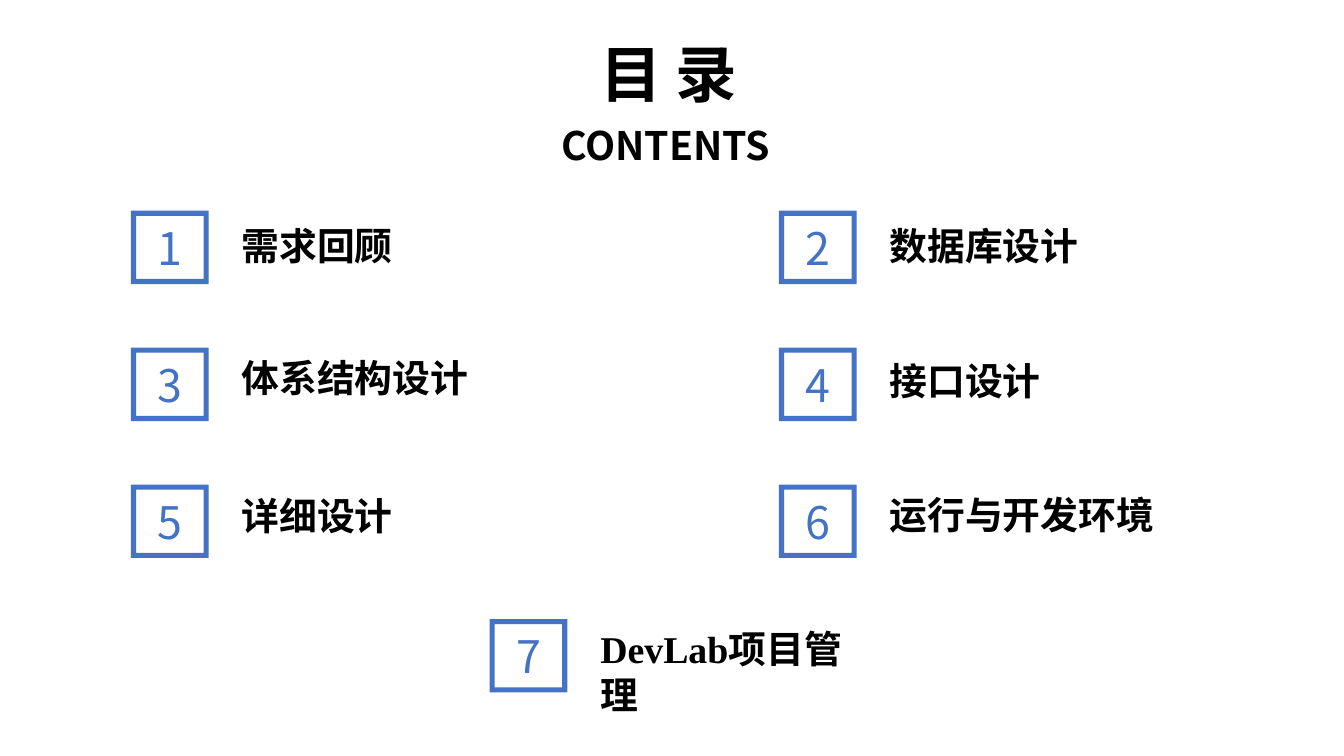
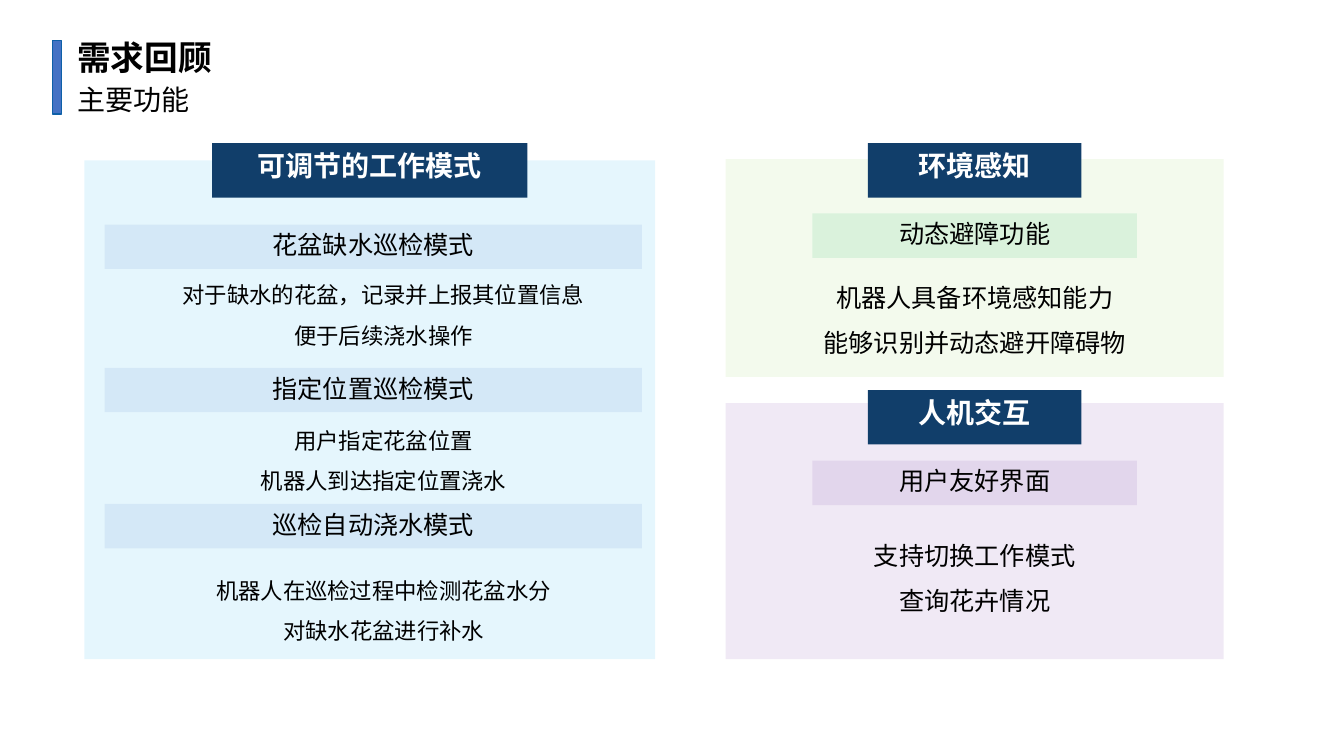
"""Build a contents slide and a requirements overview slide."""
from lxml import etree
from pptx import Presentation
from pptx.dml.color import RGBColor
from pptx.enum import shapes, text
from pptx.oxml import ns
from pptx.util import Cm, Pt

SANS = "Noto Sans CJK SC"
SERIF = "Times New Roman"

BLACK = RGBColor(0x00, 0x00, 0x00)
WHITE = RGBColor(0xFF, 0xFF, 0xFF)
BLUE = RGBColor(0x44, 0x72, 0xC4)
BLUE_EDGE = RGBColor(0x0E, 0x60, 0xA8)
NAVY = RGBColor(0x11, 0x3E, 0x6A)
SKY = RGBColor(0x00, 0xB0, 0xF0)
LIME = RGBColor(0x92, 0xD0, 0x50)
GREEN = RGBColor(0x00, 0xB0, 0x50)
PURPLE = RGBColor(0x70, 0x30, 0xA0)

LEFT, TOP = shapes.MSO_SHAPE, text.MSO_ANCHOR.TOP
RECTANGLE, FRAME = shapes.MSO_SHAPE.RECTANGLE, shapes.MSO_SHAPE.FRAME
MIDDLE = text.MSO_ANCHOR.MIDDLE
CENTER = text.PP_ALIGN.CENTER

CHAPTERS = [
    ("需求回顾", 0.18),
    ("数据库设计", 0.18),
    ("体系结构设计", 0.05),
    ("接口设计", 0.13),
    ("详细设计", 0.08),
    ("运行与开发环境", 0.06),
    ("DevLab项目管理", 0.05),
]
COLUMNS = (3.3, 19.63)
LAST_LEFT, LAST_TOP = 12.34, 15.6
FIRST_TOP, ROW_PITCH = 5.31, 3.45

PANELS = [
    {
        "box": (2.13, 4.04, 14.38, 12.57), "fill": SKY,
        "header": ("可调节的工作模式", 3.61, 7.95),
        "bar_fill": BLUE, "bar_width": 13.54, "bar_shift": 0.09,
        "note_size": 16, "note_shift": 0.35,
        "items": [
            ("花盆缺水巡检模式", 5.66, 6.63,
             ["对于缺水的花盆，记录并上报其位置信息", "便于后续浇水操作"]),
            ("指定位置巡检模式", 9.27, 10.29,
             ["用户指定花盆位置", "机器人到达指定位置浇水"]),
            ("巡检自动浇水模式", 12.7, 14.07,
             ["机器人在巡检过程中检测花盆水分", "对缺水花盆进行补水"]),
        ],
    },
    {
        "box": (18.29, 4.01, 12.55, 5.49), "fill": LIME,
        "header": ("环境感知", 3.61, 5.38),
        "bar_fill": GREEN, "bar_width": 8.18, "bar_shift": 0,
        "note_size": 18, "note_shift": 0,
        "items": [
            ("动态避障功能", 5.38, 6.6,
             ["机器人具备环境感知能力", "能够识别并动态避开障碍物"]),
        ],
    },
    {
        "box": (18.29, 10.16, 12.55, 6.45), "fill": PURPLE,
        "header": ("人机交互", 9.83, 5.38),
        "bar_fill": PURPLE, "bar_width": 8.18, "bar_shift": 0,
        "note_size": 18, "note_shift": 0,
        "items": [
            ("用户友好界面", 11.61, 13.11,
             ["支持切换工作模式", "查询花卉情况"]),
        ],
    },
]


def write(shape, lines, size, color=BLACK, bold=False, font=SANS,
          align=None, spacing=None, anchor=TOP):
    """Fill a shape with evenly styled paragraphs."""
    frame = shape.text_frame
    frame.word_wrap = True
    frame.vertical_anchor = anchor
    frame.text = "\n".join(lines)
    for paragraph in frame.paragraphs:
        paragraph.alignment = align
        paragraph.line_spacing = spacing
        paragraph.font.size = Pt(size)
        paragraph.font.bold = bold
        paragraph.font.color.rgb = color
        paragraph.font.name = font
        latin = paragraph.font._element.find(ns.qn("a:latin"))
        east_asian = etree.Element(ns.qn("a:ea"), typeface=SANS)
        latin.addnext(east_asian)


def add_text(slide, box, lines, size, **style):
    """Add a text box at a box given in centimetres."""
    write(slide.shapes.add_textbox(*map(Cm, box)), lines, size, **style)


def add_block(slide, box, fill, kind=RECTANGLE, opacity=None):
    """Add a borderless filled shape, optionally translucent."""
    shape = slide.shapes.add_shape(kind, *map(Cm, box))
    shape.shadow.inherit = False
    shape.fill.solid()
    shape.fill.fore_color.rgb = fill
    shape.line.fill.background()
    if opacity is not None:
        color = shape._element.spPr.find(".//" + ns.qn("a:srgbClr"))
        etree.SubElement(color, ns.qn("a:alpha"), val=str(opacity * 1000))
    return shape


def build_contents(slide):
    """Lay out the numbered chapters in two columns and a last row."""
    add_text(slide, (14.88, 0.79, 4.11, 2.13), ["目 录"], 44, bold=True)
    add_text(slide, (13.89, 2.92, 6.1, 1.45), ["CONTENTS"], 28, bold=True)
    for index, (name, drop) in enumerate(CHAPTERS):
        row, column = divmod(index, len(COLUMNS))
        left, top = COLUMNS[column], FIRST_TOP + row * ROW_PITCH
        if index == len(CHAPTERS) - 1:
            left, top = LAST_LEFT, LAST_TOP
        number = add_block(slide, (left, top, 1.96, 1.85), BLUE, FRAME)
        number.adjustments[0] = 0.07
        write(number, [str(index + 1)], 32, color=BLUE, align=CENTER,
              anchor=MIDDLE)
        add_text(slide, (left + 2.54, top + drop, 7.37, 1.42), [name], 27,
                 bold=True, font=SERIF)


def build_panel(slide, panel):
    """Draw one function panel with its header, bars and notes."""
    left, _, width, _ = panel["box"]
    center = left + width / 2
    add_block(slide, panel["box"], panel["fill"], opacity=10)
    title, top, header_width = panel["header"]
    header = add_block(
        slide, (center - header_width / 2, top, header_width, 1.37), NAVY)
    write(header, [title], 20, color=WHITE, bold=True, align=CENTER)
    bar_width = panel["bar_width"]
    bar_left = center - bar_width / 2
    for name, bar_top, note_top, lines in panel["items"]:
        bar = add_block(
            slide, (bar_left + panel["bar_shift"], bar_top, bar_width, 1.12),
            panel["bar_fill"], opacity=10)
        write(bar, [name], 18, align=CENTER)
        add_text(
            slide, (bar_left + panel["note_shift"], note_top, bar_width, 2.2),
            lines, panel["note_size"], align=CENTER, spacing=1.5)


def build_functions(slide):
    """Draw the section heading and the function panels."""
    accent = add_block(slide, (1.32, 1.02, 0.23, 1.85), BLUE)
    accent.line.color.rgb = BLUE_EDGE
    accent.line.width = Pt(1)
    add_text(slide, (1.7, 0.81, 5, 1.27), ["需求回顾"], 24, bold=True)
    add_text(slide, (1.7, 1.96, 5, 1.12), ["主要功能"], 20)
    for panel in PANELS:
        build_panel(slide, panel)


def main():
    """Create and save the presentation."""
    presentation = Presentation()
    presentation.slide_width, presentation.slide_height = Cm(33.87), Cm(19.05)
    for build in (build_contents, build_functions):
        build(presentation.slides.add_slide(presentation.slide_layouts[6]))
    presentation.save("out.pptx")


if __name__ == "__main__":
    main()
